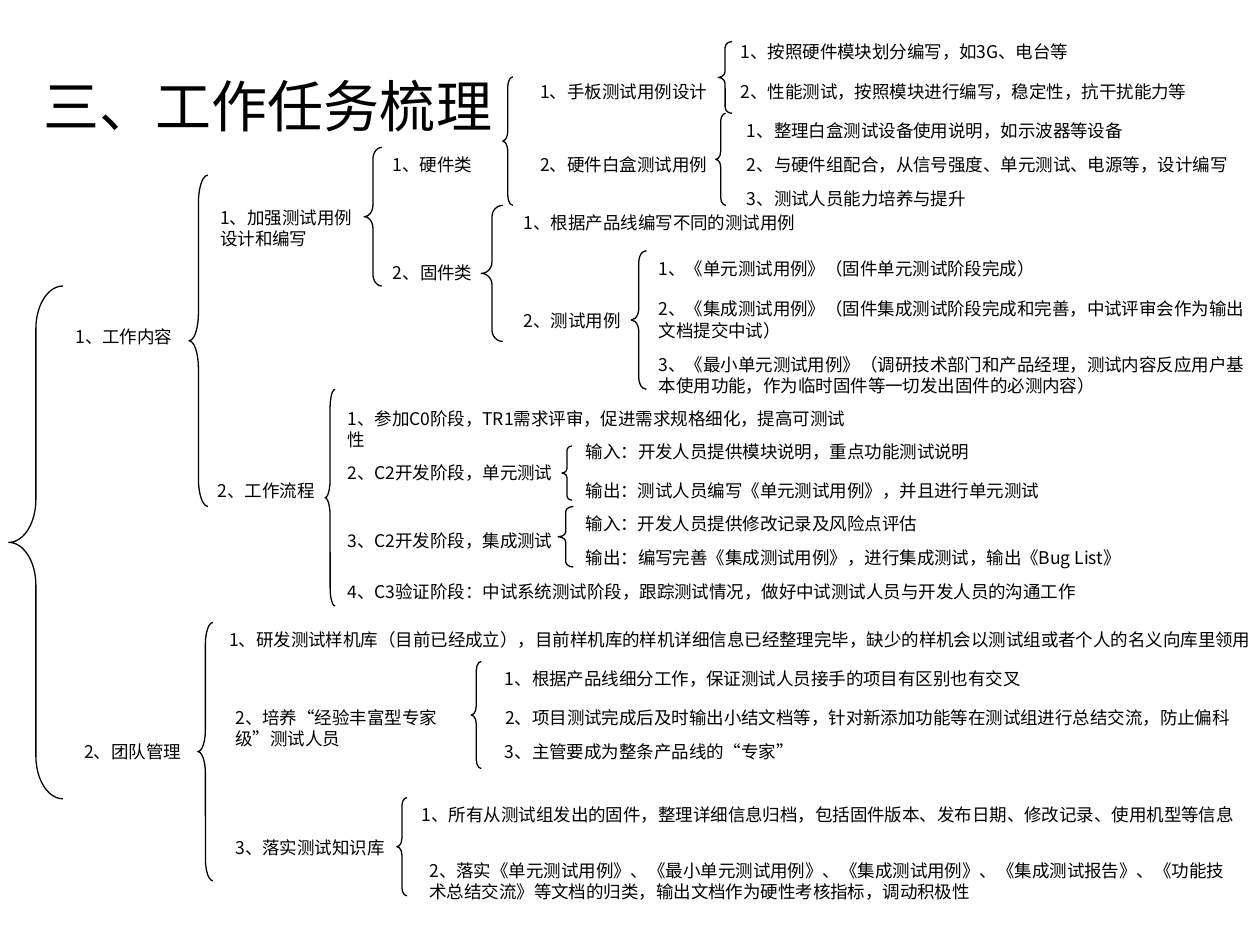
from dataclasses import dataclass

from lxml.etree import SubElement
from pptx import Presentation
from pptx.dml.color import RGBColor
from pptx.enum.shapes import MSO_SHAPE
from pptx.enum.text import MSO_ANCHOR, MSO_AUTO_SIZE
from pptx.oxml.ns import qn
from pptx.slide import Slide
from pptx.util import Inches, Pt

COLORS = {"ink": "000000"}
CJK_FONT = "Noto Sans CJK SC"
LINE_HEIGHTS = {1: 0.27, 2: 0.44}
BRACE_CURVE = 1 / 12
LABEL_FRAME = {"word_wrap": True, "auto_size": MSO_AUTO_SIZE.SHAPE_TO_FIT_TEXT}
TITLE_FRAME = {"word_wrap": True, "vertical_anchor": MSO_ANCHOR.MIDDLE}


@dataclass(frozen=True)
class Label:
    left: float
    top: float
    width: float
    text: str
    lines: int = 1
    font: str = CJK_FONT


@dataclass(frozen=True)
class Branch:
    left: float
    top: float
    width: float
    height: float
    labels: tuple[Label, ...]


BRANCHES = (
    Branch(0.07, 2.27, 0.43, 4.07, (
        Label(0.5, 2.54, 1.71, "1、工作内容"),
        Label(0.57, 5.83, 1.85, "2、团队管理"),
    )),
    Branch(1.5, 1.39, 0.15, 2.63, (
        Label(1.65, 1.59, 1.3, "1、加强测试用例设计和编写", 2),
        Label(1.63, 3.76, 1.26, "2、工作流程"),
    )),
    Branch(2.89, 1.17, 0.14, 1.1, (
        Label(3.02, 1.17, 2.37, "1、硬件类"),
        Label(3.02, 2.03, 0.89, "2、固件类"),
    )),
    Branch(3.99, 0.61, 0.08, 1.02, (
        Label(4.19, 0.59, 4.43, "1、手板测试用例设计"),
        Label(4.19, 1.17, 1.53, "2、硬件白盒测试用例", 2),
    )),
    Branch(5.7, 0.33, 0.11, 0.57, (
        Label(5.78, 0.28, 2.83, "1、按照硬件模块划分编写，如3G、电台等", 2),
        Label(5.78, 0.59, 3.84, "2、性能测试，按照模块进行编写，稳定性，抗干扰能力等"),
    )),
    Branch(5.68, 0.9, 0.08, 0.73, (
        Label(5.83, 0.9, 3.97, "1、整理白盒测试设备使用说明，如示波器等设备"),
        Label(5.83, 1.17, 4.07, "2、与硬件组配合，从信号强度、单元测试、电源等，设计编写"),
        Label(5.83, 1.44, 3.87, "3、测试人员能力培养与提升"),
    )),
    Branch(3.82, 1.63, 0.17, 1.08, (
        Label(4.06, 1.63, 3.67, "1、根据产品线编写不同的测试用例"),
        Label(4.06, 2.41, 1.07, "2、测试用例"),
    )),
    Branch(5.01, 1.99, 0.12, 1.1, (
        Label(5.13, 2.0, 3.89, "1、《单元测试用例》（固件单元测试阶段完成）"),
        Label(5.13, 2.32, 4.85, "2、《集成测试用例》（固件集成测试阶段完成和完善，"
              "中试评审会作为输出文档提交中试）", 2),
        Label(5.13, 2.76, 4.85, "3、《最小单元测试用例》（调研技术部门和产品经理，"
              "测试内容反应用户基本使用功能，作为临时固件等一切发出固件的必测内容）", 2),
    )),
    Branch(2.58, 3.09, 0.08, 1.72, (
        Label(2.66, 3.19, 4.23, "1、参加C0阶段，TR1需求评审，促进需求规格细化，提高可测试性", 2),
        Label(2.66, 3.62, 4.29, "2、C2开发阶段，单元测试"),
        Label(2.66, 4.16, 1.84, "3、C2开发阶段，集成测试", 2),
        Label(2.66, 4.56, 7.32, "4、C3验证阶段：中试系统测试阶段，跟踪测试情况，"
              "做好中试测试人员与开发人员的沟通工作"),
    )),
    Branch(4.46, 3.54, 0.08, 0.43, (
        Label(4.55, 3.45, 3.59, "输入：开发人员提供模块说明，重点功能测试说明"),
        Label(4.55, 3.76, 4.07, "输出：测试人员编写《单元测试用例》，并且进行单元测试", font="Arial"),
    )),
    Branch(4.43, 4.02, 0.12, 0.48, (
        Label(4.55, 4.02, 2.97, "输入：开发人员提供修改记录及风险点评估", font="Arial"),
        Label(4.55, 4.29, 5.28, "输出：编写完善《集成测试用例》，进行集成测试，输出《Bug List》"),
    )),
    Branch(1.57, 4.94, 0.12, 2.05, (
        Label(1.72, 4.94, 8.39, "1、研发测试样机库（目前已经成立），目前样机库的样机详细信息"
              "已经整理完毕，缺少的样机会以测试组或者个人的名义向库里领用"),
        Label(1.77, 5.56, 1.97, "2、培养“经验丰富型专家级”测试人员", 2),
        Label(1.77, 6.59, 1.85, "3、落实测试知识库"),
    )),
    Branch(3.74, 5.25, 0.08, 0.85, (
        Label(3.91, 5.25, 4.7, "1、根据产品线细分工作，保证测试人员接手的项目有区别也有交叉"),
        Label(3.91, 5.56, 6.08, "2、项目测试完成后及时输出小结文档等，"
              "针对新添加功能等在测试组进行总结交流，防止偏科"),
        Label(3.91, 5.83, 4.47, "3、主管要成为整条产品线的“专家”"),
    )),
    Branch(3.15, 6.33, 0.08, 0.78, (
        Label(3.25, 6.33, 6.74, "1、所有从测试组发出的固件，整理详细信息归档，"
              "包括固件版本、发布日期、修改记录、使用机型等信息"),
        Label(3.31, 6.78, 6.52, "2、落实《单元测试用例》、《最小单元测试用例》、《集成测试用例》、"
              "《集成测试报告》、《功能技术总结交流》等文档的归类，"
              "输出文档作为硬性考核指标，调动积极性", 2),
    )),
)


def set_attributes(target: object, values: dict) -> None:
    for name, value in values.items():
        setattr(target, name, value)


def draw_text(slide: Slide, label: Label, height: float, size: float, frame: dict) -> None:
    shape = slide.shapes.add_textbox(
        Inches(label.left), Inches(label.top), Inches(label.width), Inches(height)
    )
    set_attributes(shape.text_frame, frame)
    run = shape.text_frame.paragraphs[0].add_run()
    run.text = label.text
    set_attributes(run.font, {"size": Pt(size), "name": label.font})
    run.font.color.rgb = RGBColor.from_string(COLORS["ink"])
    SubElement(run.font._element, qn("a:ea")).set("typeface", CJK_FONT)


def draw_brace(slide: Slide, branch: Branch) -> None:
    shape = slide.shapes.add_shape(
        MSO_SHAPE.LEFT_BRACE,
        Inches(branch.left), Inches(branch.top), Inches(branch.width), Inches(branch.height),
    )
    shape.adjustments[0] = branch.height * BRACE_CURVE / branch.width
    shape.shadow.inherit = False
    shape.fill.background()
    shape.line.color.rgb = RGBColor.from_string(COLORS["ink"])
    shape.line.width = Pt(0.75)


def main() -> None:
    presentation = Presentation()
    set_attributes(presentation, {"slide_width": Inches(10), "slide_height": Inches(7.5)})
    slide = presentation.slides.add_slide(presentation.slide_layouts[6])
    title = Label(0.25, 0.28, 9, "三、工作任务梳理", font="Calibri")
    draw_text(slide, title, 1.11, 32, TITLE_FRAME)
    for branch in BRANCHES:
        draw_brace(slide, branch)
        for label in branch.labels:
            draw_text(slide, label, LINE_HEIGHTS[label.lines], 10, LABEL_FRAME)
    presentation.save("out.pptx")


if __name__ == "__main__":
    main()
